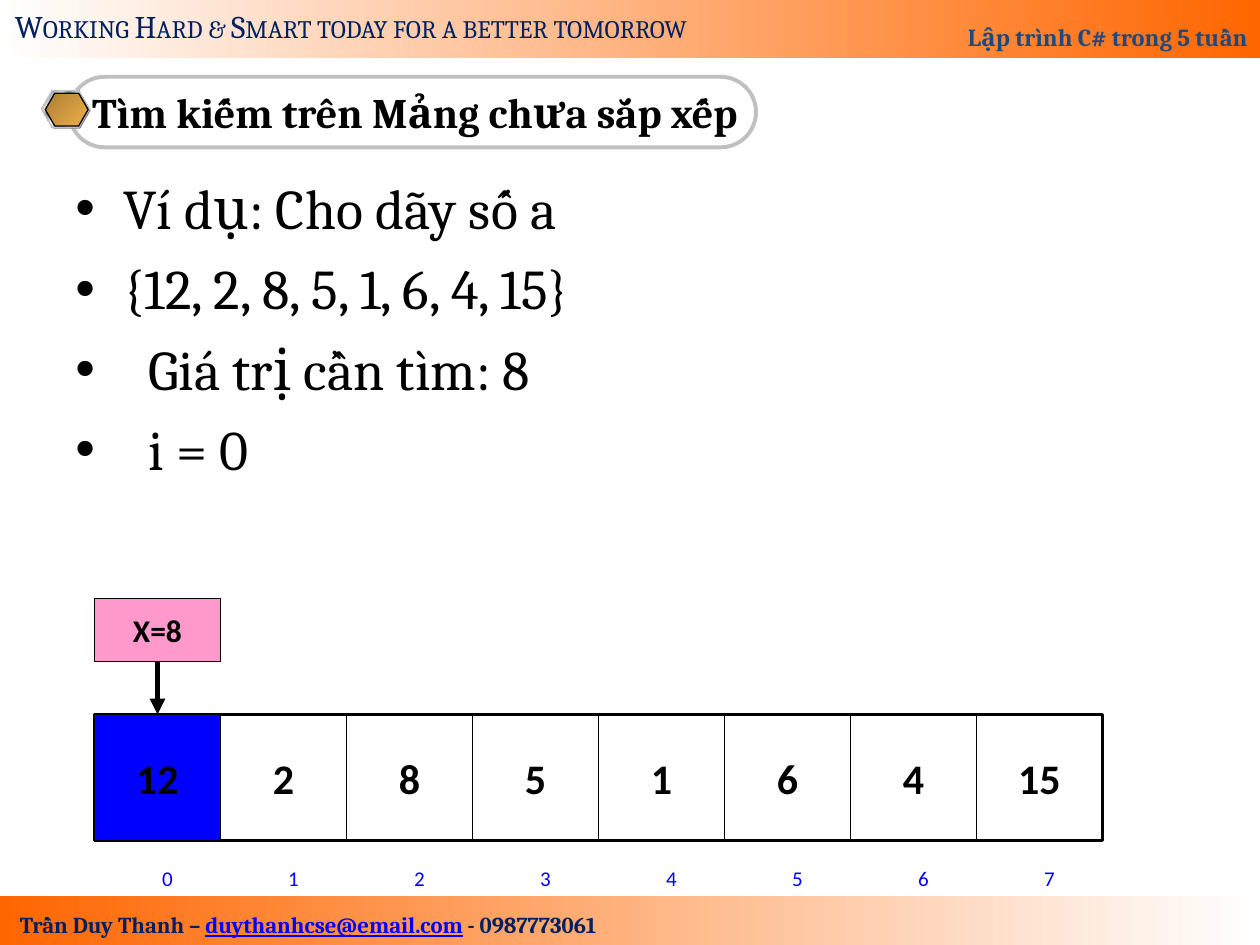
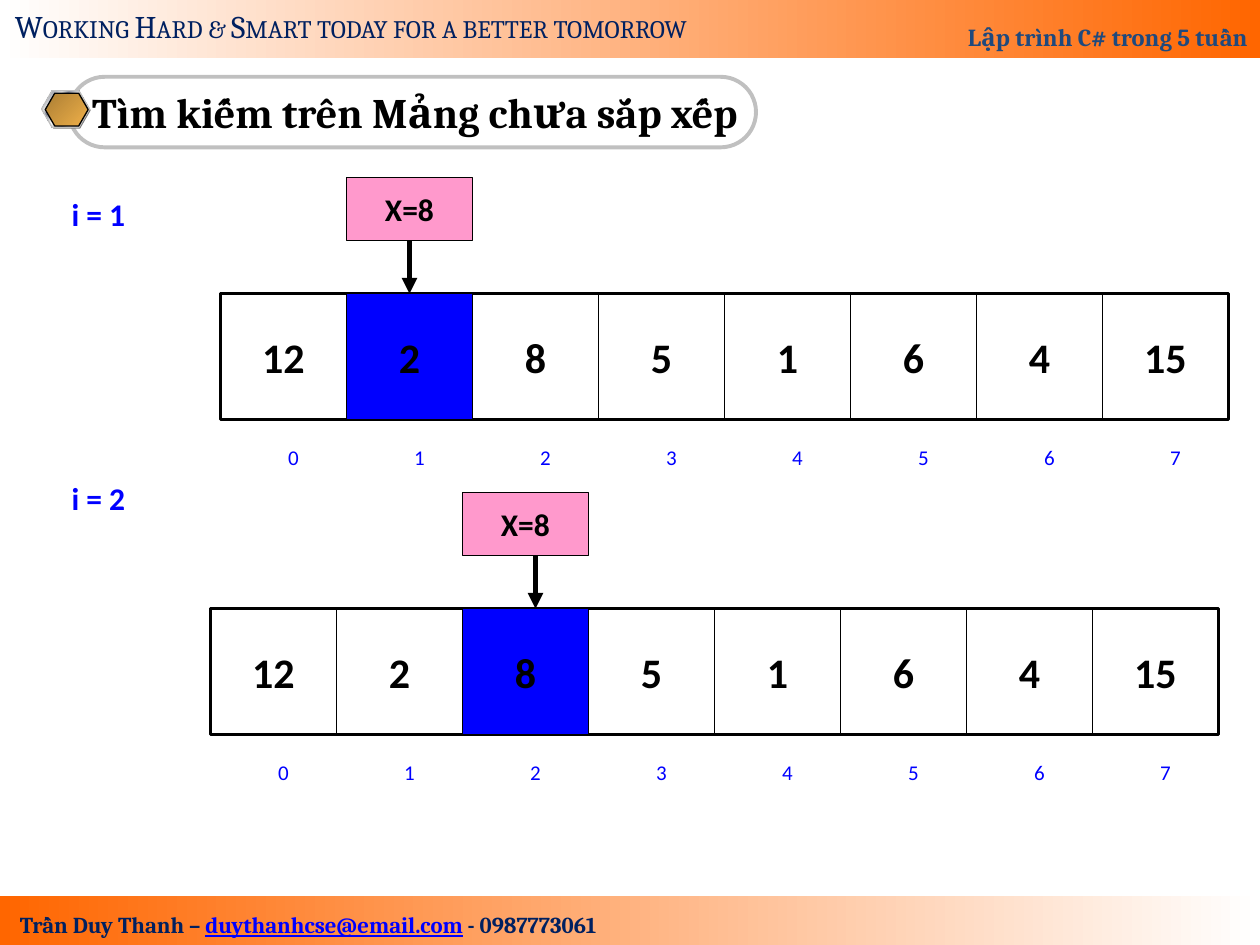
import pptx
import pptx.util
import pptx.dml.color
import pptx.enum.shapes
import pptx.enum.text
import pptx.oxml
import pptx.oxml.ns

Inches = pptx.util.Inches
Pt = pptx.util.Pt
SHAPE = pptx.enum.shapes.MSO_SHAPE
ALIGN = pptx.enum.text.PP_ALIGN
ANCHOR = pptx.enum.text.MSO_ANCHOR

# Content
MOTTO = "Working Hard & Smart today for a better tomorrow"
COURSE = "Lập trình C# trong 5 tuần"
CONTACT = [("Trần Duy Thanh – ", {}),
           ("duythanhcse@email.com", {"color": "link", "underline": True}),
           (" - 0987773061", {})]
TITLE = "Tìm kiếm trên Mảng chưa sắp xếp"
NUMBERS = [12, 2, 8, 5, 1, 6, 4, 15]
TARGET = "X=8"
# Bullet text and the indent of its first letter
BULLETS = [("Ví dụ: Cho dãy số a", 0.38),
           ("{12, 2, 8, 5, 1, 6, 4, 15}", 0.38),
           ("Giá trị cần tìm: 8", 0.58),
           ("i = 0", 0.58)]
# Each search step: cell checked, place of the array, arrow offset, label and its top
SLIDES = [
    {"bullets": BULLETS, "steps": [{"index": 0, "left": 0.75, "top": 5.67}]},
    {"steps": [
        {"index": 1, "left": 1.75, "top": 2.33, "label": "i = 1", "label_top": 1.5},
        {"index": 2, "left": 1.67, "top": 4.83, "label": "i = 2", "label_top": 3.75,
         "arrow_shift": 0.08}]},
]

# Shared style
COLORS = {"black": "000000", "white": "FFFFFF", "orange": "FF6600", "navy": "002060",
          "course": "1F497D", "link": "0000FF", "checked": "0000FF", "target": "FF99CC",
          "silver": "C0C0C0", "shade": "808080", "pale": "E6E6E6", "steel": "7D8496",
          "bronze": "AB7E34", "gold": "EFB049"}
BAND = [(0, "white"), (100, "orange")]
BAND_REVERSED = [(0, "orange"), (100, "white")]
BRONZE = [(0, "bronze"), (100, "gold")]
CHROME = [(0, "pale"), (7, "steel"), (26, "pale"), (34, "steel"), (46, "pale"), (50, "white"),
          (54, "pale"), (66, "steel"), (74, "pale"), (93, "steel"), (100, "pale")]
# Hexagon layers of the title mark, back to front
HEXAGONS = [((0.34, 0.73, 0.38, 0.29), {"fill": "shade"}),
            ((0.33, 0.72, 0.38, 0.29), {"gradient": CHROME, "angle": 45, "line": "silver"}),
            ((0.36, 0.74, 0.34, 0.26), {"gradient": BRONZE, "angle": 45, "line": "black"})]
CELL = 1
TARGET_HEIGHT = 0.5
TARGET_RISE = 0.92
INDEX_SHIFT = 0.08
INDEX_DROP = 1.17


def rgb(name):
    return pptx.dml.color.RGBColor.from_string(COLORS[name])


def fill_gradient(shape, stops, angle):
    marks = "".join(f'<a:gs pos="{position * 1000}"><a:srgbClr val="{COLORS[name]}"/></a:gs>'
                    for position, name in stops)
    gradient = pptx.oxml.parse_xml(
        f'<a:gradFill {pptx.oxml.ns.nsdecls("a")} rotWithShape="1"><a:gsLst>{marks}</a:gsLst>'
        f'<a:lin ang="{angle * 60000}" scaled="1"/></a:gradFill>')
    shape.fill.background()
    blank = shape._element.spPr.find(pptx.oxml.ns.qn("a:noFill"))
    blank.getparent().replace(blank, gradient)


def add_shape(page, kind, place, fill=None, gradient=None, angle=0, line=None, width=0.75):
    shape = page.shapes.add_shape(kind, *map(Inches, place))
    shape.shadow.inherit = False
    if gradient:
        fill_gradient(shape, gradient, angle)
    elif fill:
        shape.fill.solid()
        shape.fill.fore_color.rgb = rgb(fill)
    else:
        shape.fill.background()
    if line:
        shape.line.color.rgb = rgb(line)
        shape.line.width = Pt(width)
    else:
        shape.line.fill.background()
    return shape


def add_box(page, place):
    return page.shapes.add_textbox(*map(Inches, place))


def write(shape, text, size=24, font="Calibri", color="black", bold=False, align=ALIGN.LEFT,
          anchor=ANCHOR.TOP, wrap=False, small_caps=False, spacing=None):
    """Fill a shape's first paragraph with a string or with (text, changes) spans."""
    frame = shape.text_frame
    frame.word_wrap = wrap
    frame.vertical_anchor = anchor
    para = frame.paragraphs[0]
    para.alignment = align
    if spacing:
        para.line_spacing = spacing
    for words, changes in ([(text, {})] if isinstance(text, str) else text):
        span = para.add_run()
        span.text = words
        span.font.size = Pt(size)
        span.font.name = font
        span.font.bold = bold
        span.font.underline = changes.get("underline")
        span.font.color.rgb = rgb(changes.get("color", color))
        if small_caps:
            span._r.get_or_add_rPr().set("cap", "small")


def add_frame(page):
    # Bands with the course, the contact and the motto
    add_shape(page, SHAPE.RECTANGLE, (0, 7.11, 10, 0.39), gradient=BAND_REVERSED)
    header = add_shape(page, SHAPE.RECTANGLE, (0, 0, 10, 0.46), gradient=BAND)
    write(header, COURSE, size=14, font="Cambria", color="course", bold=True,
          align=ALIGN.RIGHT, anchor=ANCHOR.BOTTOM, wrap=True, spacing=1.8)
    write(add_box(page, (-0.08, 7.18, 5.05, 0.32)), CONTACT, size=13, font="Cambria",
          color="navy", bold=True, align=ALIGN.CENTER)
    write(add_box(page, (0.02, 0.01, 5.9, 0.4)), MOTTO, size=18, font="Cambria",
          color="navy", small_caps=True)
    # Title pill and its hexagon mark
    pill = add_shape(page, SHAPE.ROUNDED_RECTANGLE, (0.55, 0.61, 5.45, 0.56),
                     line="silver", width=2.25)
    pill.adjustments[0] = 0.5
    write(pill, TITLE, font="Cambria", bold=True, anchor=ANCHOR.MIDDLE)
    for place, style in HEXAGONS:
        hexagon = add_shape(page, SHAPE.HEXAGON, place, **style)
        hexagon.adjustments[0] = 0.289
        hexagon.adjustments[1] = 1.155


def add_bullets(page, bullets):
    box = add_box(page, (0.5, 1.33, 9, 4.95))
    box.text_frame.word_wrap = True
    for number, (text, indent) in enumerate(bullets):
        para = box.text_frame.add_paragraph() if number else box.text_frame.paragraphs[0]
        properties = para._p.get_or_add_pPr()
        properties.set("marL", str(Inches(indent)))
        properties.set("indent", str(-Inches(indent)))
        if number:
            para.space_before = Pt(7.4)
        properties.append(pptx.oxml.parse_xml(
            f'<a:buFont {pptx.oxml.ns.nsdecls("a")} typeface="Arial"/>'))
        properties.append(pptx.oxml.parse_xml(
            f'<a:buChar {pptx.oxml.ns.nsdecls("a")} char="•"/>'))
        span = para.add_run()
        span.text = text
        span.font.size = Pt(32)
        span.font.name = "Cambria"
        span.font.color.rgb = rgb("black")


def add_arrow(page, target, cell, shift):
    x = target.left + target.width // 2 + Inches(shift)
    arrow = page.shapes.add_connector(pptx.enum.shapes.MSO_CONNECTOR.STRAIGHT,
                                      x, target.top + target.height, x, cell.top)
    if not shift:
        arrow.begin_connect(target, 2)
        arrow.end_connect(cell, 0)
    arrow.line.color.rgb = rgb("black")
    arrow.line.width = Pt(3)
    arrow.line._get_or_add_ln().append(pptx.oxml.parse_xml(
        f'<a:tailEnd {pptx.oxml.ns.nsdecls("a")} type="triangle"/>'))
    arrow._element.spPr.append(pptx.oxml.parse_xml(
        f'<a:effectLst {pptx.oxml.ns.nsdecls("a")}/>'))


def add_step(page, index, left, top, label=None, label_top=0, arrow_shift=0):
    centered = {"align": ALIGN.CENTER, "anchor": ANCHOR.MIDDLE}
    # Array outline, cells and index numbers
    add_shape(page, SHAPE.RECTANGLE, (left, top, CELL * len(NUMBERS), CELL),
              line="black", width=2)
    cells = []
    for position, number in enumerate(NUMBERS):
        x = left + position * CELL
        cell = add_shape(page, SHAPE.RECTANGLE, (x, top, CELL, CELL), line="black",
                         fill="checked" if position == index else None)
        write(cell, str(number), bold=True, **centered)
        cells.append(cell)
        write(add_box(page, (x + INDEX_SHIFT, top + INDEX_DROP, CELL, 0.25)), str(position),
              size=12, color="link", **centered)
    # Target value pointing at the checked cell
    target = add_shape(page, SHAPE.RECTANGLE,
                       (left + index * CELL, top - TARGET_RISE, CELL, TARGET_HEIGHT),
                       fill="target", line="black")
    write(target, TARGET, size=18, bold=True, **centered)
    add_arrow(page, target, cells[index], arrow_shift)
    if label:
        write(add_box(page, (0.47, label_top, 0.69, 0.4)), label, size=18, color="link",
              bold=True)


def main():
    deck = pptx.Presentation()
    deck.slide_width = Inches(10)
    deck.slide_height = Inches(7.5)
    for content in SLIDES:
        page = deck.slides.add_slide(deck.slide_layouts[6])
        add_frame(page)
        if "bullets" in content:
            add_bullets(page, content["bullets"])
        for step in content["steps"]:
            add_step(page, **step)
    deck.save("out.pptx")


if __name__ == "__main__":
    main()
